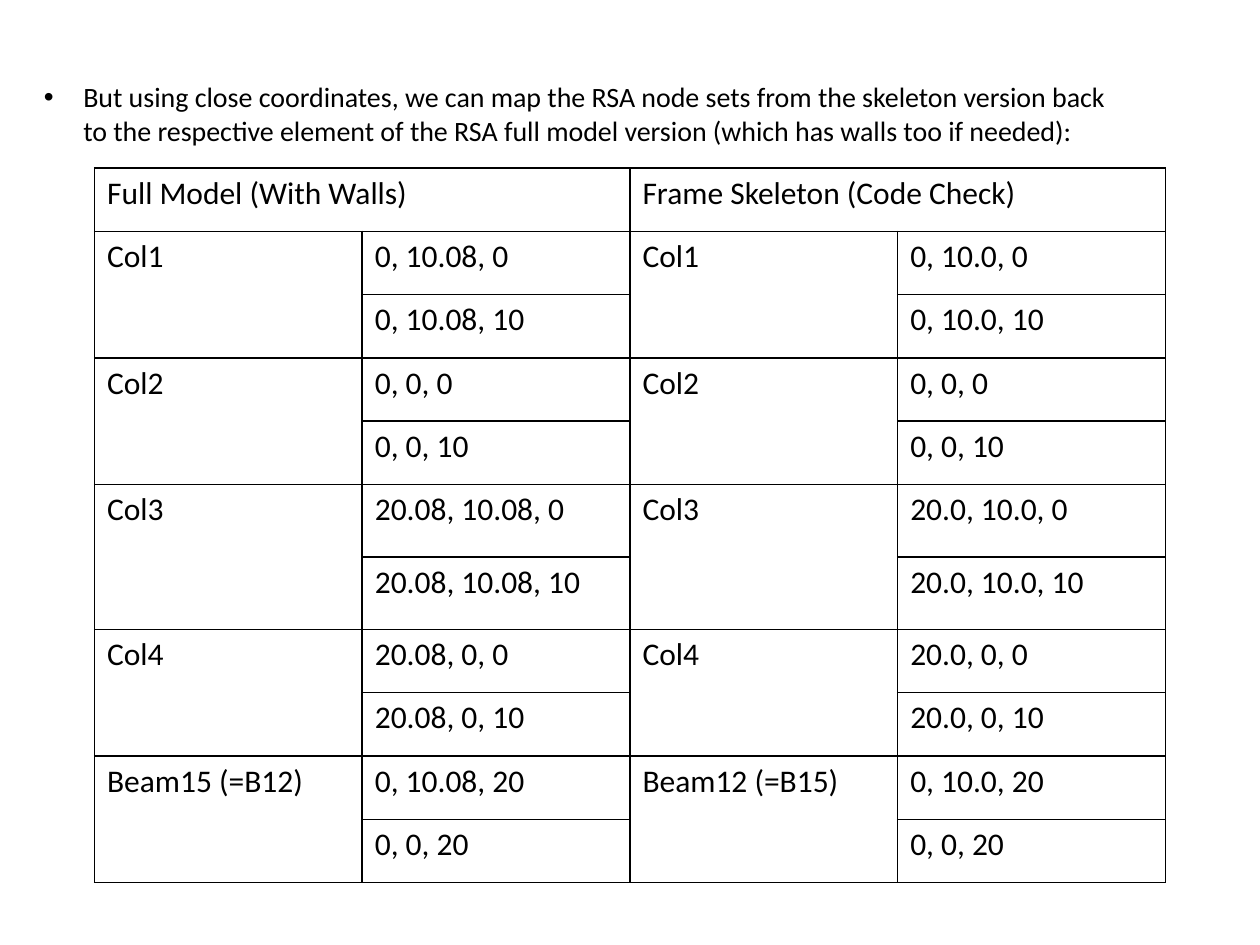
from lxml import etree
from pptx import Presentation, util as u
from pptx.dml.color import RGBColor
from pptx.enum import text
from pptx.oxml.ns import qn

COLUMNS, ROWS = 120, 90  # slide grid, twelve steps to the inch

INTRO = ("But using close coordinates, we can map the RSA node sets from the skeleton version "
         "back to the respective element of the RSA full model version "
         "(which has walls too if needed):")
HEADINGS = ["Full Model (With Walls)", "Frame Skeleton (Code Check)"]
# element, its two nodes; full model first, then skeleton
MEMBERS = [
    ("Col1", ["0, 10.08, 0", "0, 10.08, 10"], "Col1", ["0, 10.0, 0", "0, 10.0, 10"]),
    ("Col2", ["0, 0, 0", "0, 0, 10"], "Col2", ["0, 0, 0", "0, 0, 10"]),
    ("Col3", ["20.08, 10.08, 0", "20.08, 10.08, 10"],
     "Col3", ["20.0, 10.0, 0", "20.0, 10.0, 10"]),
    ("Col4", ["20.08, 0, 0", "20.08, 0, 10"], "Col4", ["20.0, 0, 0", "20.0, 0, 10"]),
    ("Beam15 (=B12)", ["0, 10.08, 20", "0, 0, 20"],
     "Beam12 (=B15)", ["0, 10.0, 20", "0, 0, 20"]),
]
ROW, TALL_ROW = 6.03, 6.9
TALL_MEMBER = "Col3"


def color(code):
    return RGBColor.from_string(code)


def apply(target, values):
    for name, value in values.items():
        setattr(target, name, value)


class SlideBuilder:
    def __init__(self, deck, font="Calibri", ink="000000"):
        self.deck, self.font, self.ink = deck, font, ink
        self.page = deck.slides.add_slide(deck.slide_layouts[6])

    def across(self, columns):
        return round(self.deck.slide_width * columns / COLUMNS)

    def down(self, rows):
        return round(self.deck.slide_height * rows / ROWS)

    def area(self, left, top, width, height):
        return self.across(left), self.down(top), self.across(width), self.down(height)

    def add_words(self, para, words, size):
        span = para.add_run()
        span.text = words
        apply(span.font, {"name": self.font, "size": u.Pt(size)})
        span.font.color.rgb = color(self.ink)

    def bullet(self, words, area, size, indent):
        frame = self.page.shapes.add_textbox(*self.area(*area)).text_frame
        apply(frame, {"word_wrap": True, "auto_size": text.MSO_AUTO_SIZE.SHAPE_TO_FIT_TEXT})
        para = frame.paragraphs[0]
        self.add_words(para, words, size)
        properties = para._p.get_or_add_pPr()
        properties.set("marL", str(self.across(indent)))
        properties.set("indent", str(-self.across(indent)))
        etree.SubElement(properties, qn("a:buFont"), typeface="Arial")
        etree.SubElement(properties, qn("a:buChar"), char="•")

    def border(self, cell, width):
        properties = cell._tc.get_or_add_tcPr()
        for side in ("lnL", "lnR", "lnT", "lnB"):
            line = etree.SubElement(properties, qn("a:" + side), w=str(u.Pt(width)))
            fill = etree.SubElement(line, qn("a:solidFill"))
            etree.SubElement(fill, qn("a:srgbClr"), val=self.ink)

    def table(self, area, column_count, heights):
        """Add an unfilled table with thin borders round every cell."""
        frame = self.page.shapes.add_table(len(heights), column_count, *self.area(*area))
        grid = frame.table
        apply(grid, {"first_row": False, "horz_banding": False})
        for column in grid.columns:
            column.width = self.across(area[2] / column_count)
        for row, height in zip(grid.rows, heights):
            row.height = self.down(height)
        for cell in grid.iter_cells():
            self.border(cell, 1)
            cell.fill.background()
        return grid

    def entry(self, grid, row, column, words, size=18, rows=1, columns=1):
        """Fill one cell, merged over the given rows and columns."""
        cell = grid.cell(row, column)
        if rows * columns > 1:
            cell.merge(grid.cell(row + rows - 1, column + columns - 1))
        self.add_words(cell.text_frame.paragraphs[0], words, size)


def main():
    deck = Presentation()
    apply(deck, {"slide_width": u.Inches(10), "slide_height": u.Inches(7.5)})
    slide = SlideBuilder(deck)
    slide.bullet(INTRO, (3, 7, 106, 7.7), size=16, indent=3.75)

    heights = [ROW]
    for member in MEMBERS:
        heights += [TALL_ROW if member[0] == TALL_MEMBER else ROW] * 2
    grid = slide.table((9, 16, 102, sum(heights)), 4, heights)
    for index, heading in enumerate(HEADINGS):
        slide.entry(grid, 0, 2 * index, heading, columns=2)
    for index, member in enumerate(MEMBERS):
        top = 1 + 2 * index
        for column in (0, 2):
            slide.entry(grid, top, column, member[column], rows=2)
            for offset, node in enumerate(member[column + 1]):
                slide.entry(grid, top + offset, column + 1, node)
    deck.save("out.pptx")


if __name__ == "__main__":
    main()
